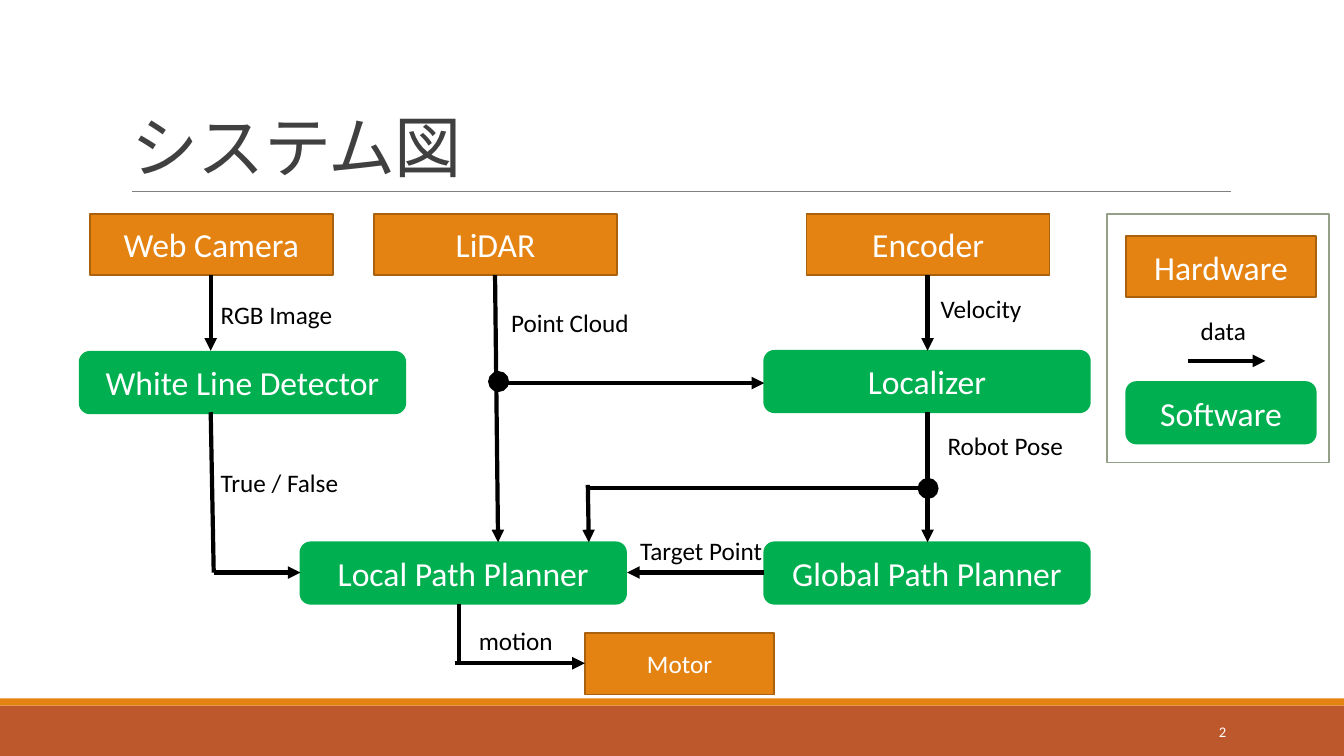
from lxml import etree
from pptx import Presentation
from pptx.dml.color import RGBColor
from pptx.enum.shapes import MSO_CONNECTOR, MSO_SHAPE
from pptx.enum.text import MSO_ANCHOR as ANCHOR, MSO_AUTO_SIZE as FIT, PP_ALIGN as ALIGN
from pptx.oxml.ns import qn
from pptx.util import Inches, Pt

THEME = {
    "font": "Calibri",
    "title": "404040", "white": "FFFFFF", "black": "000000",
    "orange": "E48312", "orange_edge": "A9610D", "green": "00B050",
    "rust": "BD582C", "rule": "808080", "legend_edge": "94A088",
    "title_size": 48, "block_size": 24, "label_size": 18, "number_size": 10.5,
    "edge": 1.25, "flow": 3, "rule_width": 0.5,
}


def draw_shape(kind, place, fill, edge=None):
    shape = page.shapes.add_shape(kind, *map(Inches, place))
    shape.shadow.inherit = False
    shape.fill.solid()
    shape.fill.fore_color.rgb = RGBColor.from_string(THEME[fill])
    if edge:
        shape.line.color.rgb = RGBColor.from_string(THEME[edge])
        shape.line.width = Pt(THEME["edge"])
    else:
        shape.line.fill.background()
    return shape


def write_text(shape, text, size, color, align, **frame_format):
    frame = shape.text_frame
    for name, value in frame_format.items():
        setattr(frame, name, value)
    para = frame.paragraphs[0]
    para.alignment = align
    span = para.add_run()
    span.text = text
    for name, value in {"name": THEME["font"], "size": Pt(THEME[size])}.items():
        setattr(span.font, name, value)
    span.font.color.rgb = RGBColor.from_string(THEME[color])
    return para


deck = Presentation()
deck.slide_width, deck.slide_height = Inches(13.33), Inches(7.5)
page = deck.slides.add_slide(deck.slide_layouts[5])

title = page.shapes.title
title_place = {"left": 1.2, "top": 0.31, "width": 10.25, "height": 1.59}
for name, value in title_place.items():
    setattr(title, name, Inches(value))
title_para = write_text(title, "システム図", "title_size", "title", ALIGN.LEFT,
                        vertical_anchor=ANCHOR.BOTTOM, auto_size=FIT.NONE, word_wrap=True)
title_para.line_spacing = 0.85
title_para.runs[0].font._element.set("spc", "-50")

draw_shape(MSO_SHAPE.RECTANGLE, (0, 7, 13.33, 0.5), "rust")
draw_shape(MSO_SHAPE.RECTANGLE, (0, 6.93, 13.33, 0.07), "orange")
draw_shape(MSO_SHAPE.RECTANGLE, (10.98, 2.12, 2.2, 2.47), "white", "legend_edge")

number = page.shapes.add_textbox(*map(Inches, (10.83, 7.06, 1.43, 0.4)))
write_text(number, "2", "number_size", "white", ALIGN.RIGHT,
           vertical_anchor=ANCHOR.MIDDLE, word_wrap=True)

block_height = 0.61
hardware = (MSO_SHAPE.RECTANGLE, "orange", "orange_edge")
software = (MSO_SHAPE.ROUNDED_RECTANGLE, "green", "green")
blocks = [
    ("Web Camera", hardware, 0.89, 2.12, 2.41, "block_size"),
    ("LiDAR", hardware, 3.71, 2.12, 2.41, "block_size"),
    ("Encoder", hardware, 8, 2.12, 2.41, "block_size"),
    ("White Line Detector", software, 0.79, 3.49, 3.23, "block_size"),
    ("Localizer", software, 7.58, 3.48, 3.23, "block_size"),
    ("Global Path Planner", software, 7.58, 5.38, 3.23, "block_size"),
    ("Local Path Planner", software, 2.98, 5.38, 3.23, "block_size"),
    ("Software", software, 11.17, 3.79, 1.88, "block_size"),
    ("Hardware", hardware, 11.17, 2.34, 1.88, "block_size"),
    ("Motor", hardware, 5.8, 6.28, 1.88, "label_size"),
]
for text, (kind, fill, edge), left, top, width, size in blocks:
    block = draw_shape(kind, (left, top, width, block_height), fill, edge)
    write_text(block, text, size, "white", ALIGN.CENTER,
               vertical_anchor=ANCHOR.MIDDLE, word_wrap=True)

title_rule = (1.31, 1.9, 12.21, 1.9)
arrows = [
    (2.09, 2.73, 2.09, 3.48),
    (2.12, 5.68, 2.98, 5.68),
    (4.91, 2.73, 4.94, 5.38),
    (4.94, 3.8, 7.58, 3.8),
    (9.2, 2.73, 9.2, 3.48),
    (5.83, 4.81, 5.84, 5.38),
    (9.2, 4.09, 9.2, 5.38),
    (7.58, 5.68, 6.22, 5.68),
    (11.78, 3.58, 12.55, 3.58),
    (4.51, 6.58, 5.8, 6.58),
]
plain_lines = [
    (2.09, 4.09, 2.12, 5.68),
    (5.84, 4.84, 9.2, 4.84),
    (4.55, 5.99, 4.55, 6.58),
]
line_groups = [
    ([title_rule], "rule", "rule_width", False),
    (arrows, "black", "flow", True),
    (plain_lines, "black", "flow", False),
]
for lines, color, width, has_head in line_groups:
    for ends in lines:
        link = page.shapes.add_connector(MSO_CONNECTOR.STRAIGHT, *map(Inches, ends))
        link.line.color.rgb = RGBColor.from_string(THEME[color])
        link.line.width = Pt(THEME[width])
        if has_head:
            etree.SubElement(link.line._get_or_add_ln(), qn("a:tailEnd"), type="triangle")
        etree.SubElement(link._element.spPr, qn("a:effectLst"))

for left, top in [(4.85, 3.69), (9.11, 4.75)]:
    draw_shape(MSO_SHAPE.OVAL, (left, top, 0.19, 0.19), "black", "black")

labels = [
    ("RGB Image", 2.09, 2.92, 1.32),
    ("True / False", 2.09, 4.59, 1.38),
    ("Point Cloud", 4.97, 3, 1.38),
    ("Robot Pose", 9.3, 4.22, 1.36),
    ("Velocity", 9.23, 2.86, 1.01),
    ("Target Point", 6.25, 5.26, 1.42),
    ("data", 11.81, 3.08, 0.66),
    ("motion", 4.65, 6.15, 0.95),
]
for text, left, top, width in labels:
    label = page.shapes.add_textbox(*map(Inches, (left, top, width, 0.4)))
    write_text(label, text, "label_size", "black", ALIGN.LEFT,
               word_wrap=False, auto_size=FIT.SHAPE_TO_FIT_TEXT)

deck.save("out.pptx")
